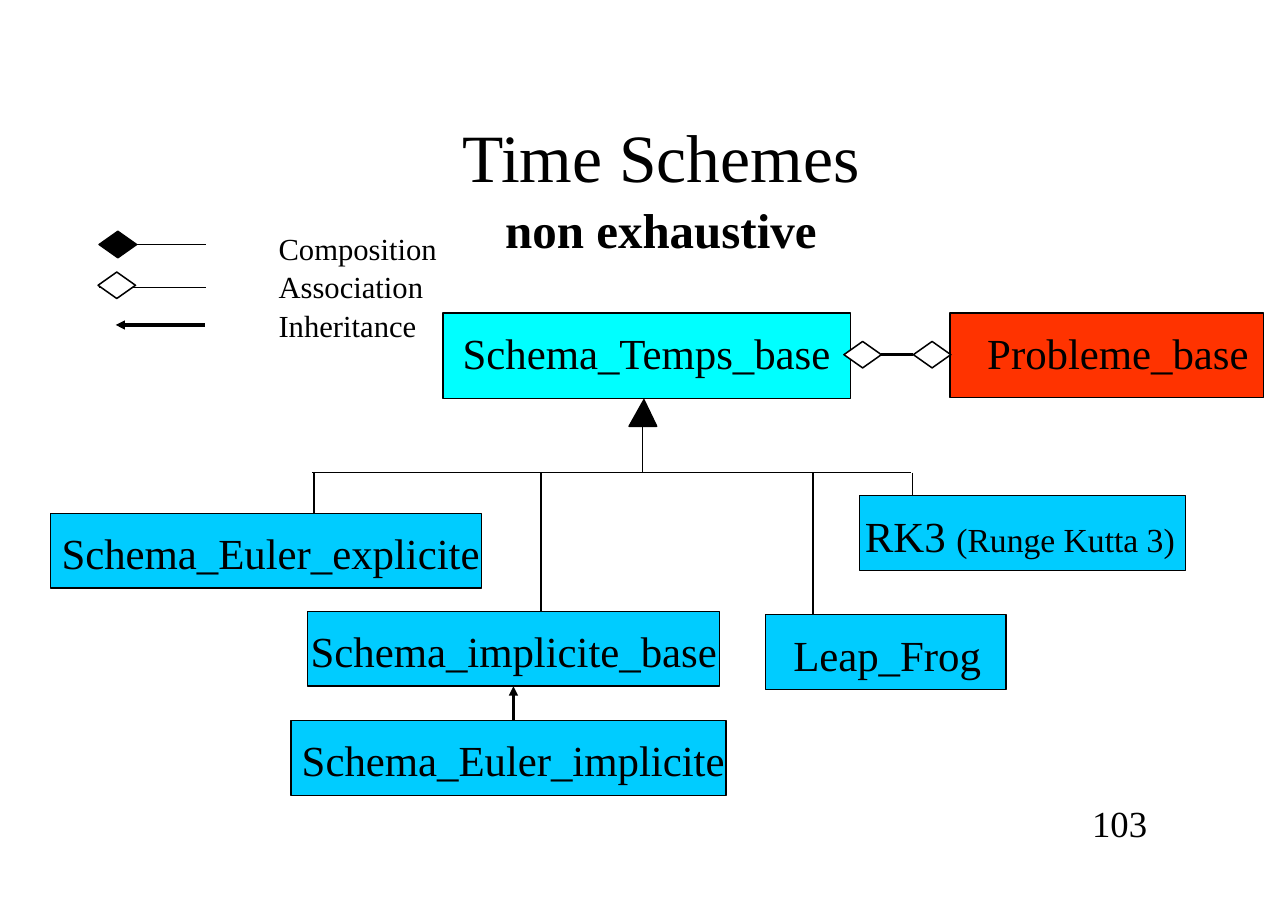
from lxml import etree
from pptx import Presentation
from pptx.dml.color import RGBColor
from pptx.enum.shapes import MSO_CONNECTOR, MSO_SHAPE as SHAPE
from pptx.enum.text import MSO_ANCHOR as ANCHOR, PP_ALIGN as ALIGN
from pptx.oxml.ns import qn
from pptx.util import Inches, Pt

BLACK = RGBColor(0x00, 0x00, 0x00)
WHITE = RGBColor(0xFF, 0xFF, 0xFF)
CYAN = RGBColor(0x00, 0xFF, 0xFF)
SKY = RGBColor(0x00, 0xCC, 0xFF)
RED = RGBColor(0xFF, 0x33, 0x00)


class Diagram:
    """Style and current slide of a class diagram."""
    font = "Times New Roman"
    line_width = Pt(1)
    hairline = Pt(0)

    def __init__(self, slide):
        self.shapes = slide.shapes

    def set_text(self, tf, paragraphs, align=ALIGN.LEFT, anchor=ANCHOR.TOP,
                 insets=(0.1, 0.05, 0.1, 0.05)):
        """Fill a frame; each paragraph is a list of (text, size, bold)."""
        tf.word_wrap = True
        tf.vertical_anchor = anchor
        (tf.margin_left, tf.margin_top,
         tf.margin_right, tf.margin_bottom) = map(Inches, insets)
        for i, runs in enumerate(paragraphs):
            p = tf.add_paragraph() if i else tf.paragraphs[0]
            p.alignment = align
            p.line_spacing = 1.05
            p.font.name = self.font
            p.font.color.rgb = BLACK
            for text, size, bold in runs:
                if text.startswith("\n"):
                    p.add_line_break()
                r = p.add_run()
                r.text = text.lstrip("\n")
                r.font.size = Pt(size)
                r.font.bold = bold

    def text(self, x, y, w, h, paragraphs, **style):
        sp = self.shapes.add_textbox(*map(Inches, (x, y, w, h)))
        self.set_text(sp.text_frame, paragraphs, **style)

    def shape(self, kind, x, y, w, h, fill):
        sp = self.shapes.add_shape(kind, *map(Inches, (x, y, w, h)))
        sp.shadow.inherit = False
        sp.fill.solid()
        sp.fill.fore_color.rgb = fill
        sp.line.color.rgb = BLACK
        sp.line.width = self.line_width
        return sp

    def class_box(self, x, y, w, h, fill, indent, name, note=""):
        sp = self.shape(SHAPE.RECTANGLE, x, y, w, h, fill)
        runs = [(name, 28, False)]
        if note:
            runs.append((note, 22, False))
        self.set_text(sp.text_frame, [runs], insets=(indent, 0.1, 0, 0))

    def diamond(self, x, y, fill=WHITE):
        self.shape(SHAPE.DIAMOND, x, y, 0.34, 0.24, fill)

    def line(self, x1, y1, x2, y2, width=line_width, arrow=False):
        cn = self.shapes.add_connector(MSO_CONNECTOR.STRAIGHT,
                                       *map(Inches, (x1, y1, x2, y2)))
        cn.line.color.rgb = BLACK
        cn.line.width = width
        sp_pr = cn.element.spPr
        if arrow:
            etree.SubElement(sp_pr.find(qn("a:ln")), qn("a:tailEnd"),
                             type="triangle")
        etree.SubElement(sp_pr, qn("a:effectLst"))


prs = Presentation()
prs.slide_width, prs.slide_height = Inches(11.69), Inches(8.27)
s = Diagram(prs.slides.add_slide(prs.slide_layouts[6]))

# Title
s.text(1.5, 0.99, 9, 1.37,
       [[("Time Schemes", 44.2, False), ("\nnon exhaustive", 32, True)]],
       align=ALIGN.CENTER, anchor=ANCHOR.MIDDLE)

# Classes: left, top, width, height, fill, text indent, name, note
CLASSES = [
    (4.02, 2.84, 3.7, 0.78, CYAN, 0.18, "Schema_Temps_base"),
    (8.62, 2.84, 2.85, 0.77, RED, 0.34, "Probleme_base"),
    (0.46, 4.66, 3.91, 0.68, SKY, 0.1, "Schema_Euler_explicite"),
    (2.79, 5.55, 3.74, 0.68, SKY, 0.03, "Schema_implicite_base"),
    (2.64, 6.54, 3.95, 0.68, SKY, 0.1, "Schema_Euler_implicite"),
    (6.95, 5.58, 2.18, 0.68, SKY, 0.25, "Leap_Frog"),
    (7.8, 4.5, 2.96, 0.68, SKY, 0.05, "RK3 ", "(Runge Kutta 3)"),
]
for box in CLASSES:
    s.class_box(*box)

# Inheritance tree: bus, stem with triangle, one drop per subclass
BUS_Y = 4.29
s.line(2.83, BUS_Y, 8.27, BUS_Y)
s.line(5.83, 3.87, 5.83, BUS_Y)
for x, bottom in [(2.85, 4.66), (4.91, 5.55), (7.38, 5.58), (8.28, 4.5)]:
    s.line(x, BUS_Y, x, bottom)
triangle = s.shape(SHAPE.ISOSCELES_TRIANGLE, 5.71, 3.63, 0.25, 0.24, BLACK)
triangle.adjustments[0] = 0.54
s.line(4.66, 6.54, 4.66, 6.23, s.hairline, arrow=True)

# Association between scheme and problem
s.line(8, 3.22, 8.29, 3.22, s.hairline)
for x in (7.66, 8.29):
    s.diamond(x, 3.1)

# Legend
s.line(1.11, 2.22, 1.87, 2.22)
s.diamond(0.9, 2.1, BLACK)
s.line(0.9, 2.61, 1.87, 2.61)
s.diamond(0.89, 2.47)
s.line(1.86, 2.95, 1.05, 2.95, s.hairline, arrow=True)
s.text(2.43, 2.02, 1.64, 1.1,
       [[(name, 20, False)]
        for name in ("Composition", "Association", "Inheritance")])

# Page number
s.text(9.68, 7.21, 0.83, 0.5, [[("103", 24, False)]],
       align=ALIGN.RIGHT, anchor=ANCHOR.MIDDLE)

prs.save("out.pptx")
